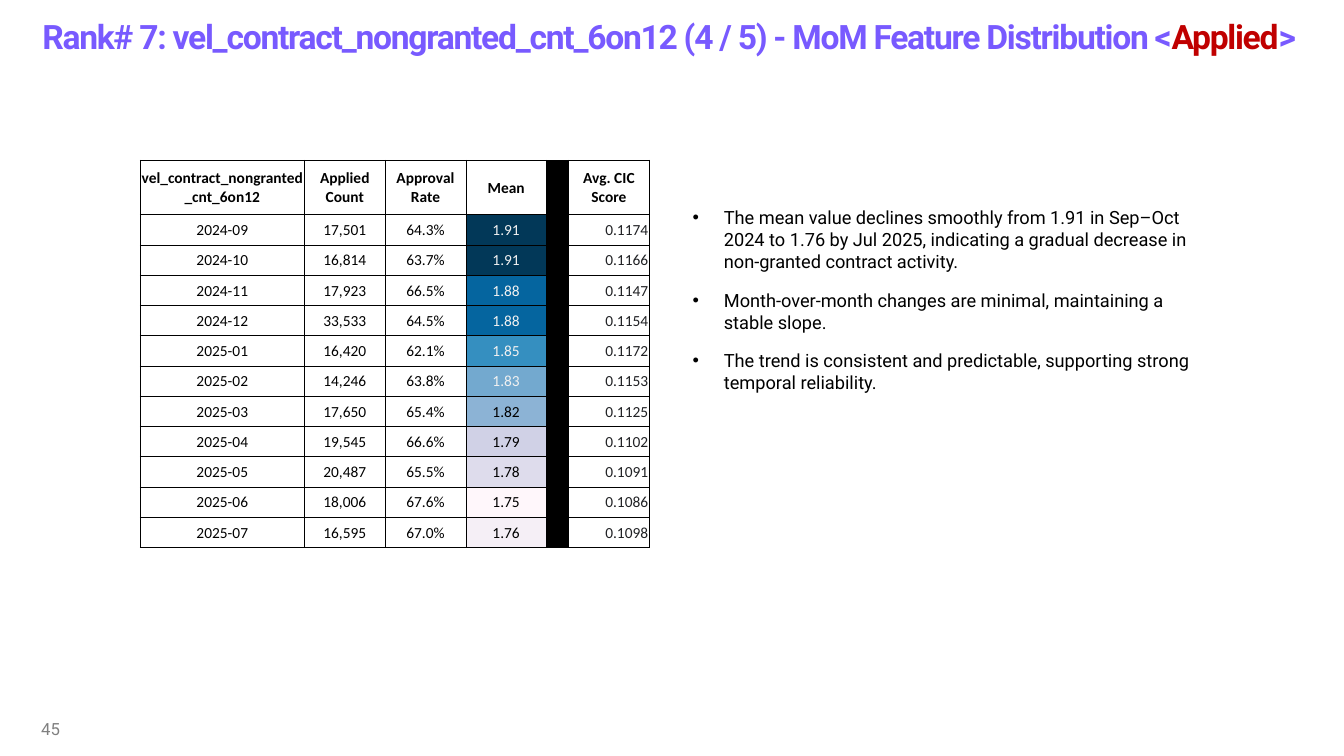
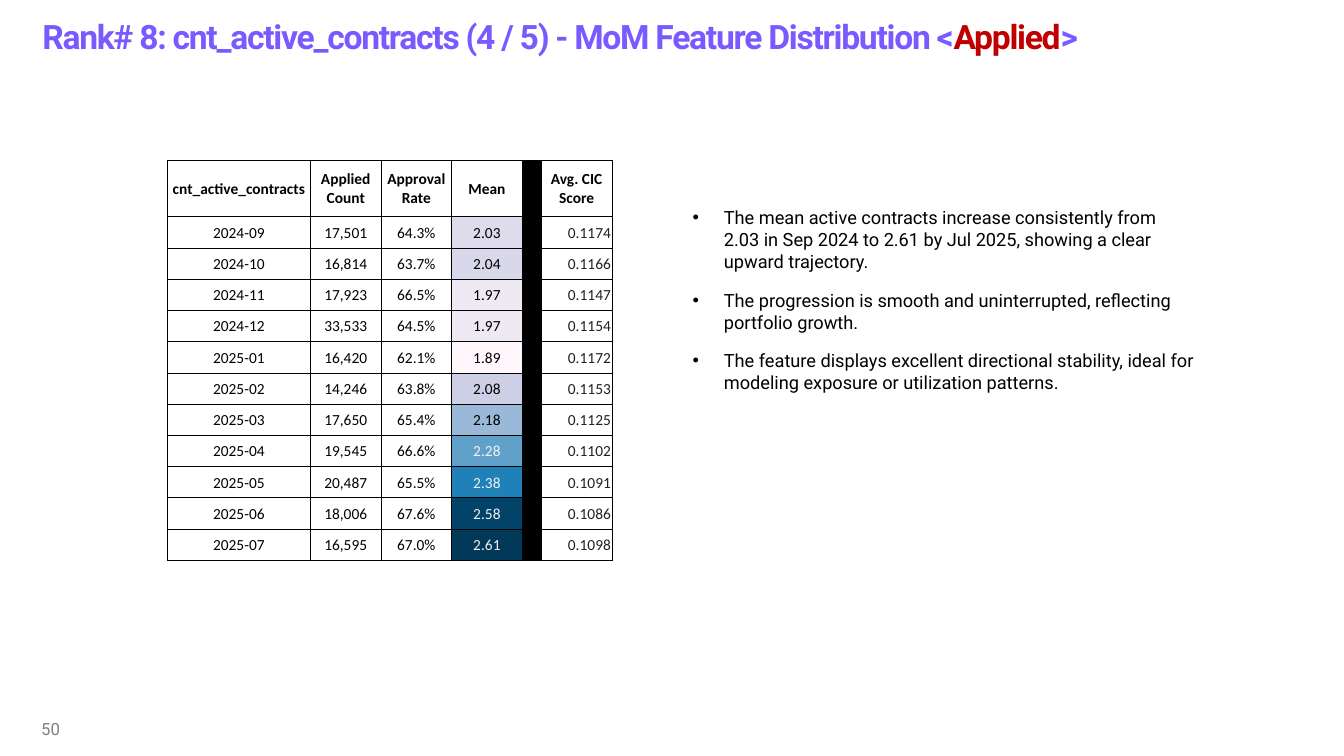
from dataclasses import dataclass
from typing import Any

import pptx
import pptx.dml.color
import pptx.enum.text
import pptx.oxml.ns
import pptx.util
from lxml import etree
from pptx.util import Inches

COLORS = {
    "title": "785AFF",
    "accent": "C00000",
    "page": "808080",
    "text": "000000",
    "band": "000000",
    "border": "000000",
    "light text": "F1F1F1",
    "score text": "202124",
    "score fill": "FFFFFF",
}
HEAT = {
    "1.91": "023858", "1.88": "05659F", "1.85": "358FC0", "1.83": "73A9CF",
    "1.82": "8CB3D5", "1.79": "D0D1E6", "1.78": "DEDCEC", "1.76": "F5EFF6",
    "1.75": "FFF7FB",
    "1.89": "FFF7FB", "1.97": "EEE9F3", "2.03": "DDDBEC", "2.04": "D9D8EA",
    "2.08": "CCCFE5", "2.18": "9AB8D8", "2.28": "60A1CA", "2.38": "2081B9",
    "2.58": "034369", "2.61": "023858",
}

ALIGN = pptx.enum.text.PP_ALIGN
ANCHOR = pptx.enum.text.MSO_ANCHOR
AUTO_SIZE = pptx.enum.text.MSO_AUTO_SIZE

TITLE_FONT = {"name": "Roboto", "size": pptx.util.Pt(24), "bold": True}
PAGE_FONT = {"name": "Roboto", "size": pptx.util.Pt(12)}
FINDING_FONT = {"name": "Roboto", "size": pptx.util.Pt(13), "bold": False}
CELL_FONT = {"name": "Calibri", "size": pptx.util.Pt(11)}
TITLE_FRAME = {"word_wrap": True, "auto_size": AUTO_SIZE.NONE, "vertical_anchor": ANCHOR.MIDDLE}
FINDINGS_FRAME = {
    "word_wrap": True,
    "auto_size": AUTO_SIZE.SHAPE_TO_FIT_TEXT,
    "vertical_anchor": ANCHOR.TOP,
}
FINDING_SPACING = {"space_before": pptx.util.Pt(0), "space_after": pptx.util.Pt(12)}
CELL_LAYOUT = {
    "vertical_anchor": ANCHOR.MIDDLE,
    "margin_left": Inches(0.01),
    "margin_right": Inches(0.01),
    "margin_top": Inches(0.01),
    "margin_bottom": Inches(0),
}

TABLE_TOP = 1.59
BAND_COLUMN = 4
MONTHLY_FACTS = [
    ("2024-09", "17,501", "64.3%", "0.1174"),
    ("2024-10", "16,814", "63.7%", "0.1166"),
    ("2024-11", "17,923", "66.5%", "0.1147"),
    ("2024-12", "33,533", "64.5%", "0.1154"),
    ("2025-01", "16,420", "62.1%", "0.1172"),
    ("2025-02", "14,246", "63.8%", "0.1153"),
    ("2025-03", "17,650", "65.4%", "0.1125"),
    ("2025-04", "19,545", "66.6%", "0.1102"),
    ("2025-05", "20,487", "65.5%", "0.1091"),
    ("2025-06", "18,006", "67.6%", "0.1086"),
    ("2025-07", "16,595", "67.0%", "0.1098"),
]


@dataclass
class Feature:
    rank: int
    name: str
    page: str
    table_left: float
    name_width: float
    value_width: float
    band_width: float
    header_height: float
    month_height: float
    means: list[str]
    findings: list[str]


FEATURES = [
    Feature(
        7, "vel_contract_nongranted_cnt_6on12", "45",
        1.39, 1.63, 0.8, 0.22, 0.54, 0.3,
        ["1.91", "1.91", "1.88", "1.88", "1.85", "1.83", "1.82", "1.79", "1.78", "1.75", "1.76"],
        [
            "The mean value declines smoothly from 1.91 in Sep–Oct 2024 to 1.76 by Jul 2025, "
            "indicating a gradual decrease in non-granted contract activity.",
            "Month-over-month changes are minimal, maintaining a stable slope.",
            "The trend is consistent and predictable, supporting strong temporal reliability.",
        ],
    ),
    Feature(
        8, "cnt_active_contracts", "50",
        1.66, 1.42, 0.7, 0.19, 0.56, 0.31,
        ["2.03", "2.04", "1.97", "1.97", "1.89", "2.08", "2.18", "2.28", "2.38", "2.58", "2.61"],
        [
            "The mean active contracts increase consistently from 2.03 in Sep 2024 to 2.61 "
            "by Jul 2025, showing a clear upward trajectory.",
            "The progression is smooth and uninterrupted, reflecting portfolio growth.",
            "The feature displays excellent directional stability, ideal for modeling exposure "
            "or utilization patterns.",
        ],
    ),
]


def rgb(hex_color: str) -> pptx.dml.color.RGBColor:
    return pptx.dml.color.RGBColor.from_string(hex_color)


def apply_format(target: Any, values: dict[str, Any]) -> None:
    for attribute, value in values.items():
        setattr(target, attribute, value)


def place(shape: Any, left: float, top: float, width: float, height: float) -> None:
    lengths = {"left": left, "top": top, "width": width, "height": height}
    apply_format(shape, {side: Inches(length) for side, length in lengths.items()})


def add_run(paragraph: Any, text: str, font: dict[str, Any], color: str) -> Any:
    run = paragraph.add_run()
    run.text = text
    apply_format(run.font, font)
    run.font.color.rgb = rgb(color)
    return run


def add_element(parent: Any, tag: str, **attributes: str) -> Any:
    return etree.SubElement(parent, pptx.oxml.ns.qn(tag), attributes)


def draw_title(slide: Any, feature: Feature) -> None:
    title = slide.shapes.title
    place(title, 0.32, 0, 12.92, 0.72)
    apply_format(title.text_frame, TITLE_FRAME)
    heading = title.text_frame.paragraphs[0]
    heading.alignment = ALIGN.LEFT
    lead = f"Rank# {feature.rank}: {feature.name} (4 / 5) - MoM Feature Distribution <"
    for text, color in ((lead, "title"), ("Applied", "accent"), (">", "title")):
        run = add_run(heading, text, TITLE_FONT, COLORS[color])
        run._r.get_or_add_rPr().set("spc", "-90")


def draw_page_number(slide: Any, page: str) -> None:
    page_box = slide.shapes.add_textbox(Inches(0.31), Inches(7.03), Inches(3), Inches(0.4))
    apply_format(page_box.text_frame, TITLE_FRAME)
    add_run(page_box.text_frame.paragraphs[0], page, PAGE_FONT, COLORS["page"])


def draw_findings(slide: Any, findings: list[str]) -> None:
    body = slide.placeholders[1]
    place(body, 6.77, 2, 5.17, 1.97)
    frame = body.text_frame
    apply_format(frame, FINDINGS_FRAME)
    for index, finding in enumerate(findings):
        paragraph = frame.add_paragraph() if index else frame.paragraphs[0]
        apply_format(paragraph, {**FINDING_SPACING, "alignment": ALIGN.LEFT})
        properties = paragraph._p.get_or_add_pPr()
        properties.set("marL", str(Inches(0.31)))
        properties.set("indent", str(-Inches(0.31)))
        add_element(properties, "a:buFont", typeface="Arial")
        add_element(properties, "a:buChar", char="•")
        add_run(paragraph, finding, FINDING_FONT, COLORS["text"])


def draw_borders(cell: Any) -> None:
    properties = cell._tc.get_or_add_tcPr()
    for index, side in enumerate(("a:lnL", "a:lnR", "a:lnT", "a:lnB")):
        line = add_element(properties, side, w=str(pptx.util.Pt(0.5)))
        add_element(add_element(line, "a:solidFill"), "a:srgbClr", val=COLORS["border"])
        properties.insert(index, line)


def fill_cell(
    cell: Any,
    text: str,
    bold: bool = False,
    color: str = COLORS["text"],
    fill: str | None = None,
    alignment: Any = ALIGN.CENTER,
) -> None:
    apply_format(cell, CELL_LAYOUT)
    paragraph = cell.text_frame.paragraphs[0]
    paragraph.alignment = alignment
    if text:
        add_run(paragraph, text, {**CELL_FONT, "bold": bold}, color)
    else:
        add_element(paragraph._p, "a:endParaRPr", sz="1100")
    if fill:
        cell.fill.solid()
        cell.fill.fore_color.rgb = rgb(fill)
    else:
        cell.fill.background()
    draw_borders(cell)


def mean_style(mean: str) -> dict[str, str]:
    fill = HEAT[mean]
    is_dark = rgb(fill)[0] < 128
    return {"fill": fill, "color": COLORS["light text" if is_dark else "text"]}


def draw_monthly_table(slide: Any, feature: Feature) -> None:
    value = feature.value_width
    widths = [feature.name_width, value, value, value, feature.band_width, value]
    heights = [feature.header_height] + [feature.month_height] * len(MONTHLY_FACTS)
    table = slide.shapes.add_table(
        len(heights), len(widths), Inches(feature.table_left), Inches(TABLE_TOP),
        Inches(sum(widths)), Inches(sum(heights)),
    ).table
    apply_format(table, {"first_row": False, "horz_banding": False})
    for column, width in zip(table.columns, widths):
        column.width = Inches(width)
    for row, height in zip(table.rows, heights):
        row.height = Inches(height)

    header = [feature.name, "Applied Count", "Approval Rate", "Mean", "", "Avg. CIC Score"]
    for column, label in enumerate(header):
        band_fill = COLORS["band"] if column == BAND_COLUMN else None
        fill_cell(table.cell(0, column), label, bold=True, fill=band_fill)

    score_style = {
        "color": COLORS["score text"],
        "fill": COLORS["score fill"],
        "alignment": ALIGN.RIGHT,
    }
    for row, (facts, mean) in enumerate(zip(MONTHLY_FACTS, feature.means), start=1):
        month, applied, approval, score = facts
        entries = [
            (month, {}),
            (applied, {}),
            (approval, {}),
            (mean, mean_style(mean)),
            ("", {"fill": COLORS["band"]}),
            (score, score_style),
        ]
        for column, (text, style) in enumerate(entries):
            fill_cell(table.cell(row, column), text, **style)


def main() -> None:
    deck = pptx.Presentation()
    apply_format(deck, {"slide_width": Inches(13.33), "slide_height": Inches(7.5)})
    for feature in FEATURES:
        slide = deck.slides.add_slide(deck.slide_layouts[1])
        draw_title(slide, feature)
        draw_page_number(slide, feature.page)
        draw_findings(slide, feature.findings)
        draw_monthly_table(slide, feature)
    deck.save("out.pptx")


if __name__ == "__main__":
    main()
